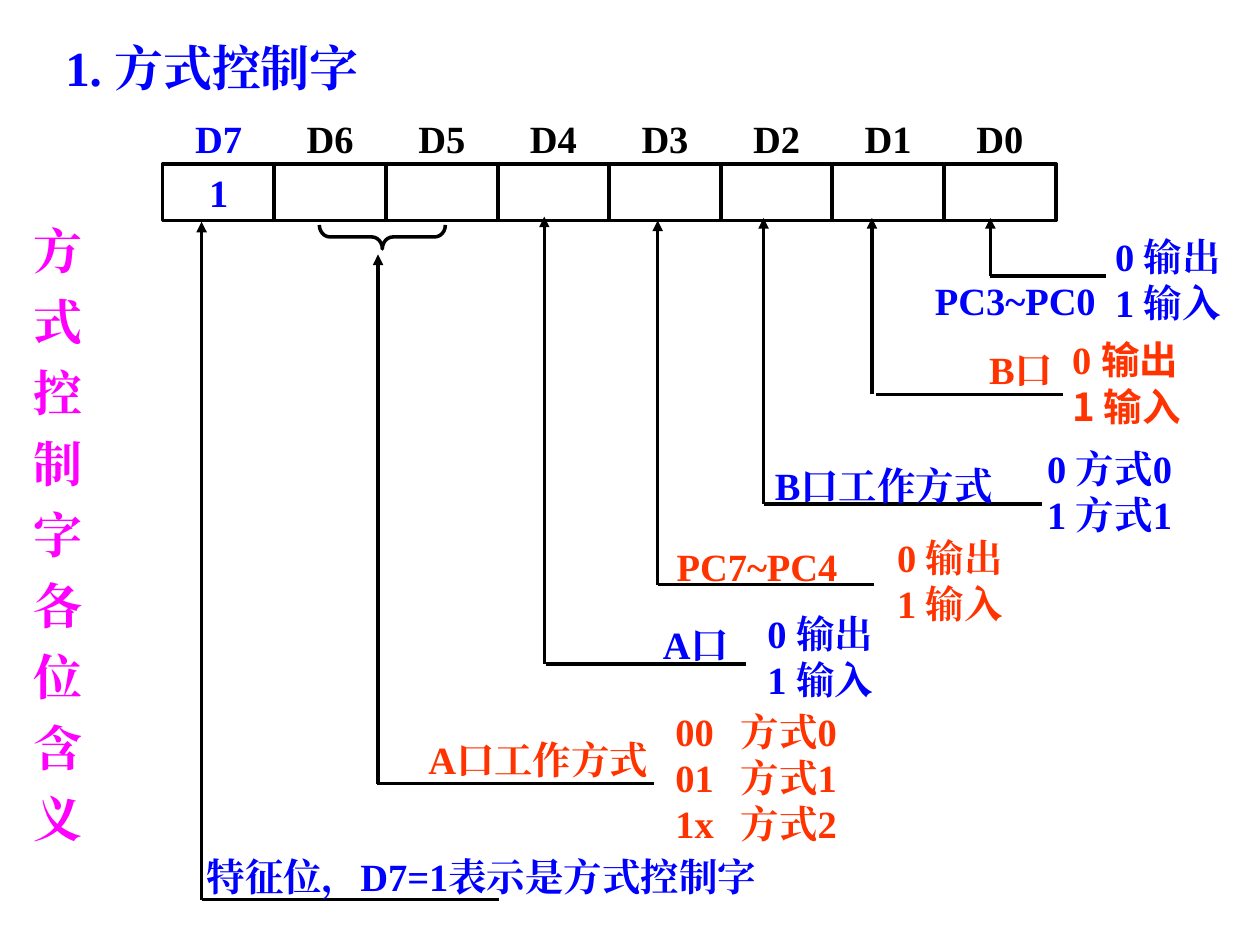
"""Builds the slide on the bits of a mode control word."""
from lxml.etree import SubElement
from pptx import Presentation
from pptx.dml.color import RGBColor
from pptx.enum.shapes import MSO_CONNECTOR, MSO_SHAPE
from pptx.enum.text import MSO_ANCHOR, PP_ALIGN
from pptx.oxml.ns import qn
from pptx.util import Inches, Pt

BLUE = RGBColor(0x00, 0x00, 0xFF)
ORANGE = RGBColor(0xFF, 0x33, 0x00)
MAGENTA = RGBColor(0xFF, 0x00, 0xFF)
BLACK = RGBColor(0x00, 0x00, 0x00)
SERIF = "Times New Roman"
SANS = "Noto Sans CJK SC"

TITLE = "1. 方式控制字"
SIDE_TITLE = "方式控制字各位含义"
BITS = ["D7", "D6", "D5", "D4", "D3", "D2", "D1", "D0"]
DIRECTIONS = ["0 输出", "1 输入"]
B_DIRECTIONS = [[("0 ", SERIF), ("输出", SANS)], [("1 输入", SANS)]]
B_MODES = ["0 方式0", "1 方式1"]
A_MODES = ["00\t方式0", "01\t方式1", "1x\t方式2"]

NOTES = [
    ((7.73, 2.75, 0.9, 0.33), ["B口"], ORANGE),
    ((8.39, 2.67, 1.26, 0.67), B_DIRECTIONS, ORANGE),
    ((7.3, 2.2, 1.69, 0.32), ["PC3~PC0"], BLUE),
    ((8.73, 1.85, 1.27, 0.67), DIRECTIONS, BLUE),
    ((6.03, 3.67, 2.19, 0.32), ["B口工作方式"], BLUE),
    ((8.19, 3.53, 1.59, 0.67), B_MODES, BLUE),
    ((5.25, 4.31, 1.69, 0.33), ["PC7~PC4"], ORANGE),
    ((7, 4.24, 1.27, 0.67), DIRECTIONS, ORANGE),
    ((5.14, 4.93, 1.01, 0.33), ["A口"], BLUE),
    ((5.97, 4.84, 1.27, 0.67), DIRECTIONS, BLUE),
    ((3.28, 5.84, 2.19, 0.33), ["A口工作方式"], ORANGE),
    ((5.24, 5.62, 1.73, 1.04), A_MODES, ORANGE),
    ((1.52, 6.77, 5.12, 0.4), ["特征位，D7=1表示是方式控制字"], BLUE),
]

# stem x, tip y, foot y, branch start x, branch end x
LEADERS = [
    (1.6, 1.76, 7.14, 1.6, 3.96),
    (3, 2.02, 6.22, 2.99, 5.19),
    (4.32, 1.72, 5.27, 4.33, 5.92),
    (5.22, 1.75, 4.64, 5.22, 6.94),
    (6.06, 1.73, 4, 6.06, 8.27),
    (6.92, 1.73, 3.13, 6.95, 8.44),
    (7.86, 1.73, 2.19, 7.86, 8.78),
]
FIRST_BIT, LAST_BIT = 1.29, 7.49
BIT_PITCH = (LAST_BIT - FIRST_BIT) / (len(BITS) - 1)
BIT_WIDTH = 0.89
NOTE_INSETS = (0.12, 0, 0, 0)
BOX_INSETS = (0.1, 0.05, 0.1, 0.05)


def write(shape, lines, color, insets, size=22, align=PP_ALIGN.JUSTIFY, after=0):
    frame = shape.text_frame
    frame.word_wrap = True
    frame.vertical_anchor = MSO_ANCHOR.TOP
    (frame.margin_left, frame.margin_top,
     frame.margin_right, frame.margin_bottom) = map(Inches, insets)
    for index, line in enumerate(lines):
        paragraph = frame.add_paragraph() if index else frame.paragraphs[0]
        paragraph.alignment = align
        paragraph.line_spacing = Pt(size * 1.2)
        paragraph.space_after = Pt(after)
        runs = [(line, SERIF)] if isinstance(line, str) else line
        if any("\t" in text for text, _ in runs):
            stops = SubElement(paragraph._p.get_or_add_pPr(), qn("a:tabLst"))
            SubElement(stops, qn("a:tab"), pos=str(Inches(0.52)), algn="l")
        for text, face in runs:
            run = paragraph.add_run()
            run.text = text
            run.font.size = Pt(size)
            run.font.bold = True
            run.font.name = face
            run.font.color.rgb = color
            SubElement(run._r.get_or_add_rPr(), qn("a:ea"), typeface=face)


def add_text(slide, place, lines, color, insets=NOTE_INSETS, **style):
    box = slide.shapes.add_textbox(*map(Inches, place))
    write(box, lines, color, insets, **style)


def add_outline(slide, preset, place):
    shape = slide.shapes.add_shape(preset, *map(Inches, place))
    shape.shadow.inherit = False
    shape.fill.background()
    shape.line.color.rgb = BLACK
    shape.line.width = Pt(2)
    return shape


def add_line(slide, start, end, arrow=False):
    line = slide.shapes.add_connector(
        MSO_CONNECTOR.STRAIGHT, *map(Inches, start + end))
    line.line.color.rgb = BLACK
    line.line.width = Pt(2)
    if arrow:
        SubElement(line.line._get_or_add_ln(), qn("a:tailEnd"), type="triangle")
    SubElement(line._element.spPr, qn("a:effectLst"))


def main():
    deck = Presentation()
    deck.slide_width, deck.slide_height = Inches(10), Inches(7.5)
    slide = deck.slides.add_slide(deck.slide_layouts[6])

    for index, bit in enumerate(BITS):
        left = FIRST_BIT + index * BIT_PITCH
        cell = add_outline(slide, MSO_SHAPE.RECTANGLE, (left, 1.3, BIT_WIDTH, 0.45))
        if bit == "D7":
            write(cell, ["1"], BLUE, (0, 0.04, 0, 0), align=PP_ALIGN.CENTER)
        add_text(slide, (left, 0.83, BIT_WIDTH, 0.55), [bit],
                 BLUE if bit == "D7" else BLACK,
                 (0, 0.08, 0, 0), align=PP_ALIGN.CENTER)

    brace = add_outline(slide, MSO_SHAPE.LEFT_BRACE, (2.94, 1.38, 0.19, 1))
    brace.adjustments[0] = 0.44
    brace.rotation = 270

    for stem, tip, foot, start, end in LEADERS:
        add_line(slide, (start, foot), (end, foot))
        add_line(slide, (stem, foot), (stem, tip), arrow=True)

    for place, lines, color in NOTES:
        add_text(slide, place, lines, color)

    add_text(slide, (0.17, 1.7, 0.83, 5.08), list(SIDE_TITLE), MAGENTA,
             BOX_INSETS, size=28, after=7)
    add_text(slide, (0.42, 0.25, 2.53, 0.57), [TITLE], BLUE, BOX_INSETS, size=28)
    deck.save("out.pptx")


if __name__ == "__main__":
    main()
